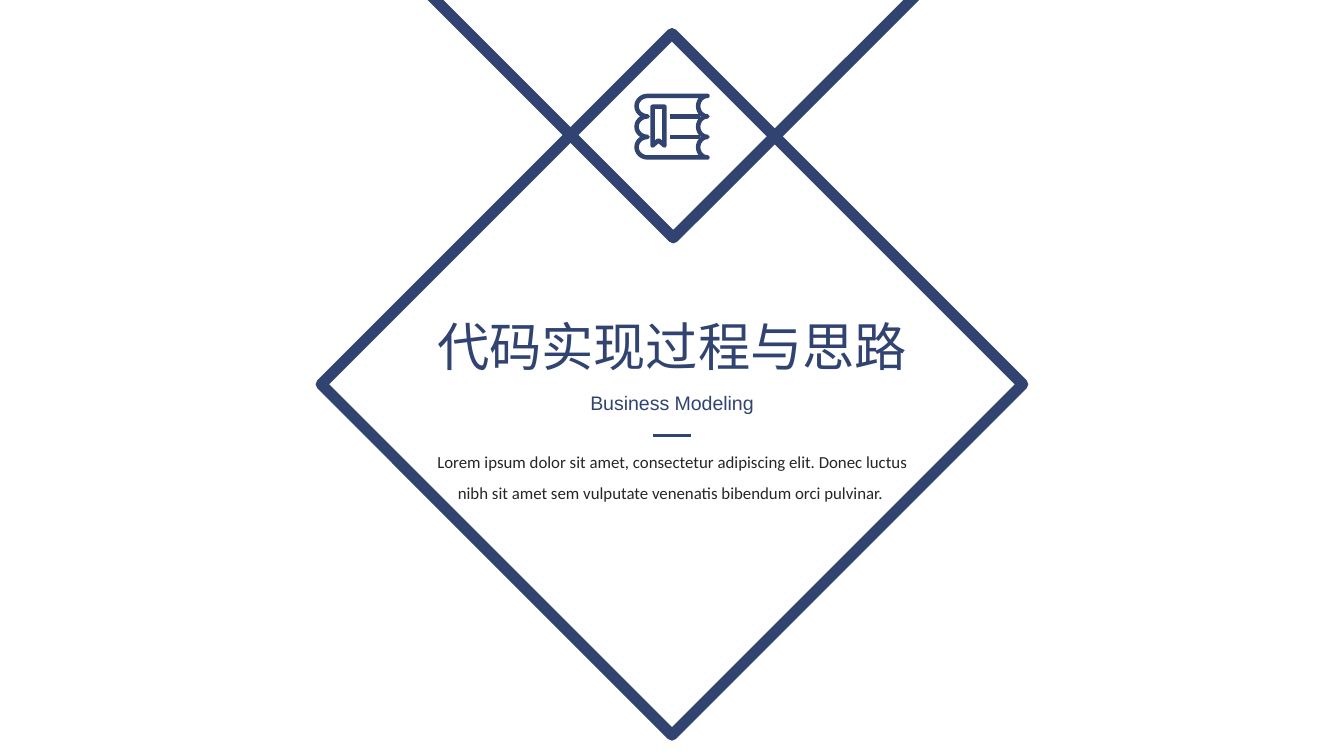
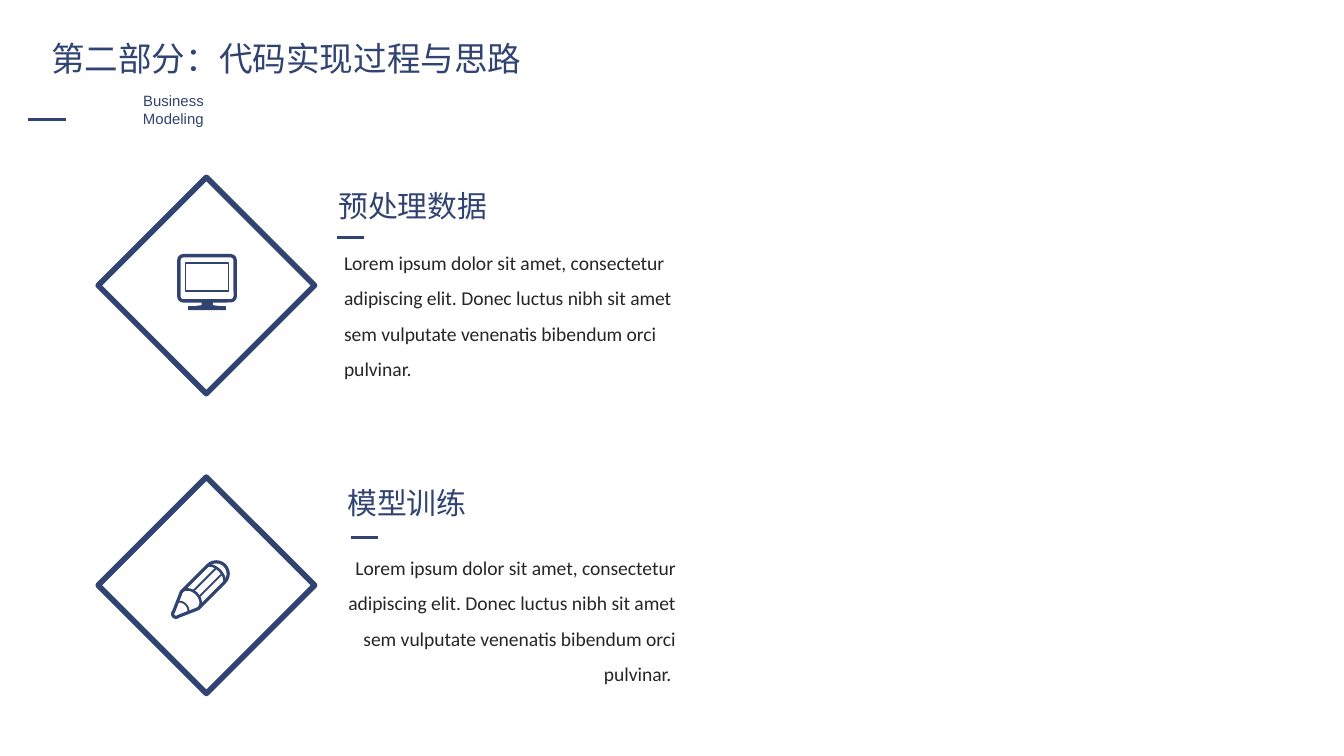
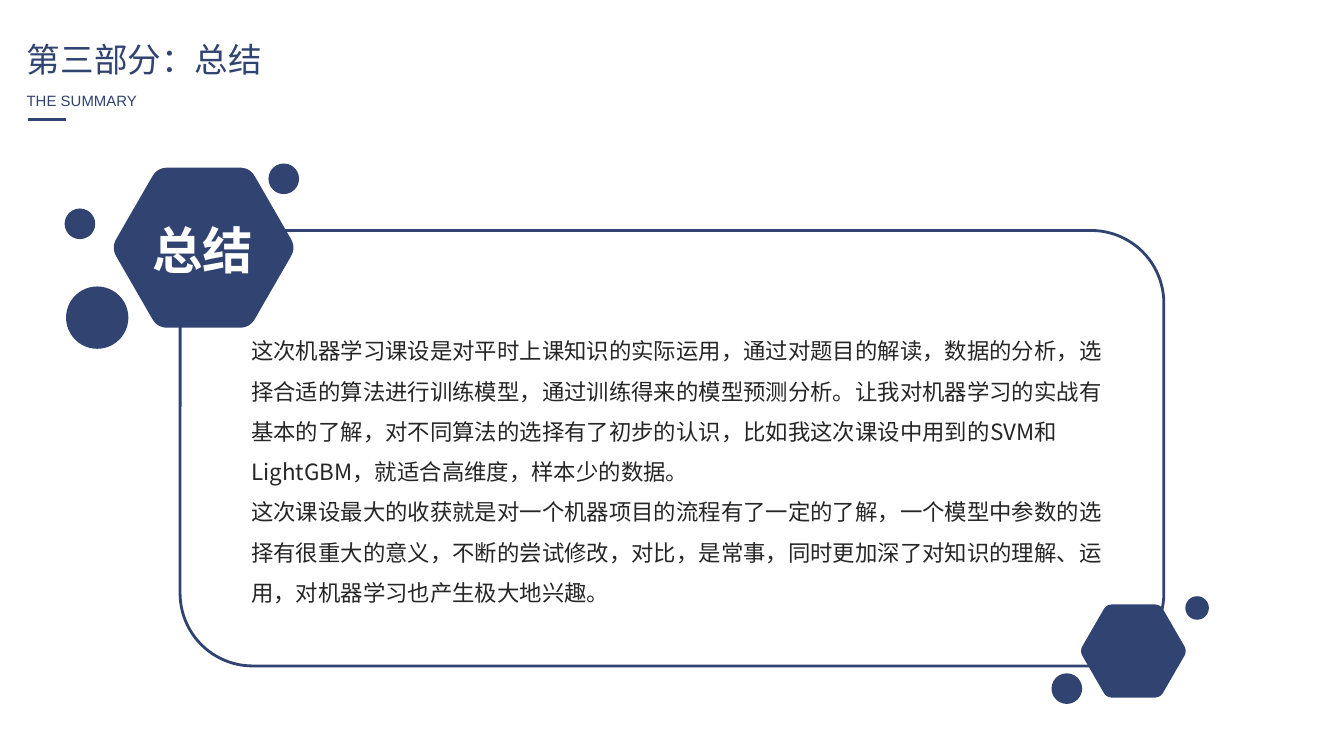
"""Build three slides on code implementation and a course summary."""

import dataclasses
import math
import typing

import lxml.etree
import pptx
import pptx.dml.color
import pptx.enum.shapes
import pptx.enum.text
import pptx.oxml.ns
import pptx.util

Pt = pptx.util.Pt
Preset = pptx.enum.shapes.MSO_SHAPE
Align = pptx.enum.text.PP_ALIGN
Point = tuple[float, float]

NAVY = "304371"
INK = "262626"
WHITE = "FFFFFF"
CJK_FONT = "Noto Sans CJK SC"
LOREM = (
    "Lorem ipsum dolor sit amet, consectetur adipiscing elit. Donec luctus "
    "nibh sit amet sem vulputate venenatis bibendum orci pulvinar."
)
SUMMARY = (
    "这次机器学习课设是对平时上课知识的实际运用，通过对题目的解读，数据的分析，"
    "选择合适的算法进行训练模型，通过训练得来的模型预测分析。让我对机器学习的实战有"
    "基本的了解，对不同算法的选择有了初步的认识，比如我这次课设中用到的SVM和"
    "LightGBM，就适合高维度，样本少的数据。",
    "这次课设最大的收获就是对一个机器项目的流程有了一定的了解，一个模型中参数的"
    "选择有很重大的意义，不断的尝试修改，对比，是常事，同时更加深了对知识的理解、"
    "运用，对机器学习也产生极大地兴趣。",
)


@dataclasses.dataclass(frozen=True)
class Box:
    left: float
    top: float
    width: float
    height: float

    def lengths(self) -> list[int]:
        return [Pt(value) for value in dataclasses.astuple(self)]


@dataclasses.dataclass(frozen=True)
class Style:
    size: float
    font: str = CJK_FONT
    color: str = NAVY
    align: typing.Any = Align.LEFT
    wrap: bool = True
    bold: bool = False
    spacing: typing.Any = None


@dataclasses.dataclass(frozen=True)
class Topic:
    heading: str
    heading_box: Box
    text: str
    text_top: float
    align: typing.Any
    rule: Point
    diamond_top: float


TITLE = Style(18, wrap=False)
LABEL = Style(8, "Arial")
TOPICS = (
    Topic("预处理数据", Box(174.2, 97.2, 95, 26.6), LOREM, 124.6,
          Align.LEFT, (180.7, 127.4), 95),
    Topic("模型训练", Box(177.8, 256.3, 79.2, 26.6), LOREM + " ", 288,
          Align.RIGHT, (187.9, 288), 255.6),
)


def rgb(color: str) -> pptx.dml.color.RGBColor:
    return pptx.dml.color.RGBColor.from_string(color)


def set_values(target: typing.Any, values: dict[str, typing.Any]) -> None:
    for name, value in values.items():
        setattr(target, name, value)


def write(shape: typing.Any, texts: typing.Sequence[str], style: Style) -> None:
    frame = shape.text_frame
    set_values(frame, {
        "word_wrap": style.wrap,
        "auto_size": pptx.enum.text.MSO_AUTO_SIZE.SHAPE_TO_FIT_TEXT,
        "vertical_anchor": pptx.enum.text.MSO_ANCHOR.TOP,
    })
    for index, text in enumerate(texts):
        paragraph = frame.add_paragraph() if index else frame.paragraphs[0]
        set_values(paragraph, {
            "alignment": style.align,
            "line_spacing": style.spacing,
            "space_before": Pt(0),
        })
        if shape.is_placeholder:
            properties = paragraph._p.get_or_add_pPr()
            properties.set("marL", "0")
            properties.set("indent", "0")
            lxml.etree.SubElement(properties, pptx.oxml.ns.qn("a:buNone"))
        run = paragraph.add_run()
        run.text = text
        run.font.color.rgb = rgb(style.color)
        set_values(run.font, {
            "size": Pt(style.size), "name": style.font, "bold": style.bold,
        })
        east_asian = lxml.etree.Element(pptx.oxml.ns.qn("a:ea"))
        east_asian.set("typeface", CJK_FONT)
        run._r.rPr.find(pptx.oxml.ns.qn("a:latin")).addnext(east_asian)


def fill_placeholder(shape: typing.Any, box: Box, texts: typing.Sequence[str],
                     style: Style) -> None:
    names = ("left", "top", "width", "height")
    set_values(shape, dict(zip(names, box.lengths())))
    write(shape, texts, style)


def add_text(slide: typing.Any, box: Box, text: str, style: Style) -> None:
    write(slide.shapes.add_textbox(*box.lengths()), [text], style)


def paint(shape: typing.Any, stroke: float = 0) -> None:
    shape.shadow.inherit = False
    if stroke:
        shape.fill.background()
        shape.line.color.rgb = rgb(NAVY)
        shape.line.width = Pt(stroke)
    else:
        shape.fill.solid()
        shape.fill.fore_color.rgb = rgb(NAVY)
        shape.line.fill.background()


def add_preset(slide: typing.Any, preset: typing.Any, box: Box,
               stroke: float = 0) -> typing.Any:
    shape = slide.shapes.add_shape(preset, *box.lengths())
    paint(shape, stroke)
    return shape


def add_outline(slide: typing.Any, points: typing.Sequence[Point],
                stroke: float = 0, close: bool = True) -> None:
    lengths = [(Pt(x), Pt(y)) for x, y in points]
    builder = slide.shapes.build_freeform(*lengths[0])
    builder.add_line_segments(lengths[1:], close=close)
    paint(builder.convert_to_shape(), stroke)


def add_line(slide: typing.Any, start: Point, end: Point,
             stroke: float = 1.5) -> None:
    connector = slide.shapes.add_connector(
        pptx.enum.shapes.MSO_CONNECTOR.STRAIGHT,
        *(Pt(value) for value in (*start, *end)))
    connector.line.color.rgb = rgb(NAVY)
    connector.line.width = Pt(stroke)
    lxml.etree.SubElement(connector._element.spPr,
                          pptx.oxml.ns.qn("a:effectLst"))


def add_rule(slide: typing.Any, start: Point, length: float) -> None:
    add_line(slide, start, (start[0] + length, start[1]))


def arc(center: Point, radius_x: float, radius_y: float, start: float,
        end: float, steps: int = 12) -> list[Point]:
    angles = [math.radians(start + (end - start) * step / steps)
              for step in range(steps + 1)]
    return [(center[0] + radius_x * math.cos(angle),
             center[1] + radius_y * math.sin(angle)) for angle in angles]


def add_hexagon(slide: typing.Any, center: Point, radius: float) -> None:
    corners = arc(center, radius, radius, 0, 360, 6)[:6]
    points = []
    for index, (x, y) in enumerate(corners):
        before, after = corners[index - 1], corners[(index + 1) % 6]
        for step in range(9):
            t = step / 8
            back, ahead = 0.11 * (1 - t) ** 2, 0.11 * t ** 2
            points.append((
                x + back * (before[0] - x) + ahead * (after[0] - x),
                y + back * (before[1] - y) + ahead * (after[1] - y)))
    add_outline(slide, points)


def draw_books(slide: typing.Any) -> None:
    top, pitch, stroke = 51.4, 11, 2.4
    middles = [top + pitch * (row + 0.5) for row in range(3)]
    points = []
    for middle in middles:
        points += arc((379, middle), 5, pitch / 2, 270, 90)
    for middle in reversed(middles):
        points += arc((347, middle), 6, pitch / 2, 90, 270)
    add_outline(slide, points, stroke)
    for row in (1, 2):
        add_line(slide, (359, top + pitch * row), (375, top + pitch * row), stroke)
    bookmark = [(349.6, 57.2), (356, 57.2), (356, 78), (352.8, 75.2), (349.6, 78)]
    add_outline(slide, bookmark, stroke)


def draw_monitor(slide: typing.Any) -> None:
    frame = add_preset(slide, Preset.ROUNDED_RECTANGLE,
                       Box(95.8, 137, 30.2, 24.2), 1.8)
    frame.adjustments[0] = 0.1
    add_preset(slide, Preset.RECTANGLE, Box(99.4, 140.7, 23, 15.1), 0.9)
    add_outline(slide, [(108, 161.5), (114, 161.5), (114, 163.5),
                        (120, 164.3), (102, 164.3), (108, 163.5)])
    add_preset(slide, Preset.ROUNDED_RECTANGLE, Box(100.8, 164, 20.2, 2.2))


def draw_pencil(slide: typing.Any) -> None:
    half, slant = 6.4, math.sqrt(0.5)
    outline = [*arc((0, 0), half, half, -90, 90), (-20, half),
               *arc((-30.5, 0), 1.8, 1.8, 90, 270), (-20, -half)]
    strokes = [
        (outline, 1.7, True),
        (arc((-1, 0), 3.5, half, -90, 90), 1.4, False),
        (arc((-20, 0), 5, half, -90, 90), 1.4, False),
        (arc((-26, 0), 2.8, 4, -90, 90), 1, False),
        ([(-15.5, -2.2), (1.5, -2.2)], 1, False),
        ([(-15.5, 2.2), (1.5, 2.2)], 1, False),
    ]
    for points, stroke, close in strokes:
        turned = [(115.9 + (u + v) * slant, 307.4 + (v - u) * slant)
                  for u, v in points]
        add_outline(slide, turned, stroke, close)


def add_slide(presentation: typing.Any, layout: int, title: str, box: Box,
              style: Style = TITLE) -> typing.Any:
    slide = presentation.slides.add_slide(presentation.slide_layouts[layout])
    fill_placeholder(slide.shapes.title, box, [title], style)
    return slide


def build_section(presentation: typing.Any) -> None:
    slide = add_slide(presentation, 0, "代码实现过程与思路",
                      Box(225.4, 164.9, 269.3, 41),
                      Style(28, align=Align.CENTER, wrap=False))
    fill_placeholder(slide.placeholders[1], Box(308.2, 205.9, 103.7, 20.2),
                     ["Business Modeling"],
                     Style(10.5, "Arial", align=Align.CENTER, wrap=False))
    add_text(slide, Box(222.5, 233.3, 275, 40.3), LOREM + " ",
             Style(9, "Calibri", INK, Align.CENTER, spacing=1.5))
    add_rule(slide, (349.9, 233.3), 20.2)
    add_outline(slide, [(196.6, -36.7), (524.9, -36.7), (360.7, 127.4)], 6)
    add_preset(slide, Preset.DIAMOND, Box(172.1, 18, 375.8, 375.8), 6)
    draw_books(slide)


def build_process(presentation: typing.Any) -> None:
    slide = add_slide(presentation, 3, "第二部分：代码实现过程与思路",
                      Box(20.2, 16.6, 269.3, 51.1))
    add_text(slide, Box(52.6, 45.4, 80.6, 26.6), "Business Modeling",
             dataclasses.replace(LABEL, align=Align.CENTER))
    add_rule(slide, (15.1, 64.1), 20.2)
    for index, topic in enumerate(TOPICS, 1):
        add_preset(slide, Preset.DIAMOND,
                   Box(52.6, topic.diamond_top, 115.9, 115.9), 3)
        add_text(slide, topic.heading_box, topic.heading,
                 Style(16, align=topic.align, wrap=False))
        fill_placeholder(slide.placeholders[index],
                         Box(177.1, topic.text_top, 192.2, 83.5), [topic.text],
                         Style(10.5, "Calibri", INK, topic.align, spacing=1.5))
        add_rule(slide, topic.rule, 14.4)
    draw_monitor(slide)
    draw_pencil(slide)


def build_summary(presentation: typing.Any) -> None:
    slide = add_slide(presentation, 1, "第三部分：总结",
                      Box(7.2, 17.3, 141.8, 28.8))
    add_text(slide, Box(7.2, 45.4, 74.2, 17.3), "THE SUMMARY",
             dataclasses.replace(LABEL, wrap=False))
    add_rule(slide, (15.1, 64.1), 20.2)
    add_preset(slide, Preset.ROUNDED_RECTANGLE, Box(96.5, 123.5, 527, 233.3), 1.5)
    fill_placeholder(slide.placeholders[1], Box(127.4, 169.9, 480.2, 157.7),
                     SUMMARY, Style(12, color=INK, spacing=Pt(21.6)))
    for left, top, size in ((35.4, 153.5, 33.4), (34.6, 111.7, 16.4),
                            (143.8, 87.6, 16.4), (563.3, 360.7, 16.4),
                            (635, 319.4, 12.6)):
        add_preset(slide, Preset.OVAL, Box(left, top, size, size))
    add_hexagon(slide, (607.2, 348.8), 28.8)
    add_hexagon(slide, (109.1, 132.7), 49.5)
    badge = add_preset(slide, Preset.RECTANGLE, Box(74.2, 113.8, 69.1, 40.3))
    write(badge, ["总结"], Style(27, "Roboto Condensed", WHITE, Align.CENTER,
                               wrap=False, bold=True))


def main() -> None:
    presentation = pptx.Presentation()
    set_values(presentation, {"slide_width": Pt(720), "slide_height": Pt(405)})
    for build in (build_section, build_process, build_summary):
        build(presentation)
    presentation.save("out.pptx")


if __name__ == "__main__":
    main()
